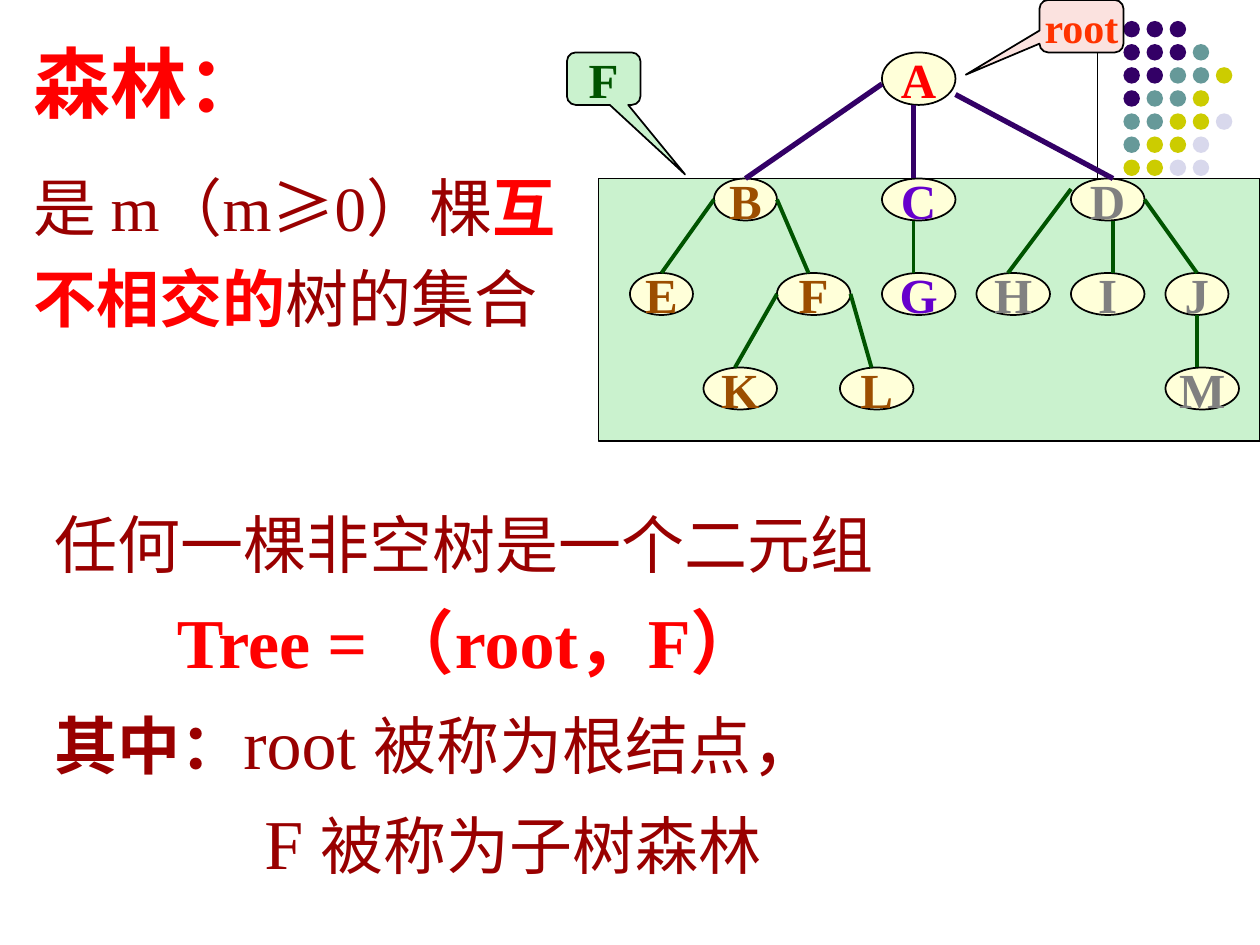
from lxml import etree
from pptx import Presentation
from pptx.dml.color import RGBColor
from pptx.enum.shapes import MSO_CONNECTOR, MSO_SHAPE
from pptx.enum.text import MSO_ANCHOR, MSO_AUTO_SIZE, PP_ALIGN
from pptx.oxml.ns import qn
from pptx.util import Pt

ELLIPSE, RECTANGLE = MSO_SHAPE.OVAL, MSO_SHAPE.RECTANGLE
CALLOUT = MSO_SHAPE.ROUNDED_RECTANGULAR_CALLOUT
STRAIGHT = MSO_CONNECTOR.STRAIGHT
TOP, MIDDLE = MSO_ANCHOR.TOP, MSO_ANCHOR.MIDDLE
LEFT, CENTER = PP_ALIGN.LEFT, PP_ALIGN.CENTER
FIT_SHAPE = MSO_AUTO_SIZE.SHAPE_TO_FIT_TEXT

LATIN, CHINESE = "Times New Roman", "Noto Sans CJK SC"
RED, MAROON, BLACK = "FF0000", "990000", "000000"
CREAM, MINT, GREEN, PURPLE = "FFFFD9", "CAF2CE", "005400", "330066"


def color(value):
    return RGBColor.from_string(value)


class SlideBuilder:
    def __init__(self, slide):
        self.slide = slide
        self.shapes = slide.shapes

    def start_group(self):
        self.shapes = self.slide.shapes.add_group_shape().shapes

    def end_group(self):
        self.shapes = self.slide.shapes

    def style_run(self, run, size, fill, bold=False, latin=LATIN):
        font = run.font
        font.name, font.size, font.bold = latin, Pt(size), bold
        font.color.rgb = color(fill)
        east_asian = etree.Element(qn("a:ea"), typeface=CHINESE)
        run._r.get_or_add_rPr().find(qn("a:latin")).addnext(east_asian)

    def shape(self, kind, left, top, width, height, fill, line=BLACK):
        shape = self.shapes.add_shape(kind, Pt(left), Pt(top), Pt(width), Pt(height))
        shape.shadow.inherit = False
        shape.fill.solid()
        shape.fill.fore_color.rgb = color(fill)
        if line:
            shape.line.color.rgb = color(line)
            shape.line.width = Pt(1)
        else:
            shape.line.fill.background()
        return shape

    def label(self, shape, text, fill, size=28):
        frame = shape.text_frame
        frame.text = text
        frame.word_wrap = False
        frame.vertical_anchor = MIDDLE
        paragraph = frame.paragraphs[0]
        paragraph.alignment = CENTER
        self.style_run(paragraph.runs[0], size, fill, True)

    def node(self, text, left, top, width, height, fill):
        self.label(self.shape(ELLIPSE, left, top, width, height, CREAM), text, fill)

    def callout(self, text, box, pointer, fill, text_color, size):
        shape = self.shape(CALLOUT, *box, fill)
        for index, value in enumerate((*pointer, 0.167)):
            shape.adjustments[index] = value
        self.label(shape, text, text_color, size)

    def line(self, start, end, fill, width):
        points = [Pt(value) for value in (*start, *end)]
        connector = self.shapes.add_connector(STRAIGHT, *points)
        connector.line.color.rgb = color(fill)
        connector.line.width = Pt(width)
        etree.SubElement(connector._element.spPr, qn("a:effectLst"))

    def fill_text(self, shape, left, top, width, height, paragraphs, wrap=False):
        """Each paragraph is an indent and a list of runs."""
        shape.left, shape.top = Pt(left), Pt(top)
        shape.width, shape.height = Pt(width), Pt(height)
        frame = shape.text_frame
        frame.word_wrap = wrap
        frame.auto_size = FIT_SHAPE
        frame.vertical_anchor = TOP
        for index, (indent, runs) in enumerate(paragraphs):
            paragraph = frame.add_paragraph() if index else frame.paragraphs[0]
            paragraph.alignment, paragraph.line_spacing = LEFT, 1.2
            paragraph.space_before = paragraph.space_after = Pt(0)
            properties = paragraph._p.get_or_add_pPr()
            properties.set("marL", str(Pt(indent)))
            properties.set("indent", "0")
            etree.SubElement(properties, qn("a:buNone"))
            for text, *style in runs:
                run = paragraph.add_run()
                run.text = text
                self.style_run(run, *style)


presentation = Presentation()
presentation.slide_width, presentation.slide_height = Pt(720), Pt(540)
slide = presentation.slides.add_slide(presentation.slide_layouts[1])
builder = SlideBuilder(slide)

# Corner decoration: a rule and rows of dots
builder.line((627, 12), (627, 132), BLACK, 0.75)
dot_colors = {"p": PURPLE, "t": "669999", "y": "CCCC00", "l": "D8D8EC"}
dot_rows = ["ppp", "pppt", "pptty", "ptty", "ttyyl", "tyyl", "yyll"]
builder.start_group()
for row, codes in enumerate(dot_rows):
    for column, code in enumerate(codes):
        builder.shape(ELLIPSE, 642 + 13.2 * column, 12 + 13.2 * row, 9.4, 9.4,
                      dot_colors[code], None)
builder.end_group()

# Title, definition and explanation
title, body = slide.placeholders
builder.fill_text(title, 12, 6, 147.6, 70.6, [(0, [("森林：", 44, RED, True)])])
builder.fill_text(body, 12, 84, 342, 111, [
    (0, [("是 m（m", 36, MAROON), ("≥", 36, MAROON, False, CHINESE),
         ("0）棵", 36, MAROON), ("互", 36, RED, True)]),
    (0, [("不相交的", 36, RED, True), ("树的集合", 36, MAROON)]),
], wrap=True)
explanation = slide.shapes.add_textbox(0, 0, 0, 0)
builder.fill_text(explanation, 24, 277, 482.4, 232, [
    (0, [("任何一棵非空树是一个二元组", 36, MAROON)]),
    (70, [("Tree = （root，F）", 40, RED, True)]),
    (0, [("其中：", 36, MAROON, True), ("root ", 40, MAROON),
         ("被称为根结点", 36, MAROON), ("，", 40, MAROON)]),
    (120, [("F ", 40, MAROON), ("被称为子树森林", 36, MAROON)]),
])

# Root node and the forest panel
builder.node("A", 504, 30, 42, 30, RED)
builder.callout("root", (594, 0, 48, 30), (-1.378, 0.925), "FBE2DF", "FF3300", 24)
builder.shape(RECTANGLE, 342, 102, 378, 150, MINT)

# Subtrees: colour, nodes (letter, left, level, width), branches
level_tops = [102, 156, 210]
subtrees = [
    ("9C4E00",
     [("B", 408, 0, 36), ("E", 360, 1, 36), ("F", 444, 1, 42),
      ("K", 402, 2, 42), ("L", 480, 2, 42)],
     [((408, 114), (378, 156)), ((444, 114), (462, 156)),
      ((444, 168), (420, 210)), ((486, 168), (498, 210))]),
    ("6600CC",
     [("C", 504, 0, 42), ("G", 504, 1, 42)],
     [((522, 126), (522, 156))]),
    ("808080",
     [("D", 612, 0, 42), ("H", 558, 1, 42), ("I", 612, 1, 42),
      ("J", 666, 1, 36), ("M", 666, 2, 42)],
     [((612, 108), (576, 156)), ((636, 126), (636, 156)),
      ((654, 114), (684, 156)), ((684, 180), (684, 210))]),
]
for text_color, nodes, branches in subtrees:
    builder.start_group()
    for letter, left, level, width in nodes:
        builder.node(letter, left, level_tops[level], width, 24, text_color)
    for start, end in branches:
        builder.line(start, end, GREEN, 2.25)
    builder.end_group()

# Forest callout and branches from the root
builder.callout("F", (324, 30, 42, 30), (1.107, 1.825), MINT, GREEN, 28)
for start, end in [((504, 48), (426, 102)), ((522, 60), (522, 102)),
                   ((546, 54), (636, 102))]:
    builder.line(start, end, PURPLE, 3)

presentation.save("out.pptx")
